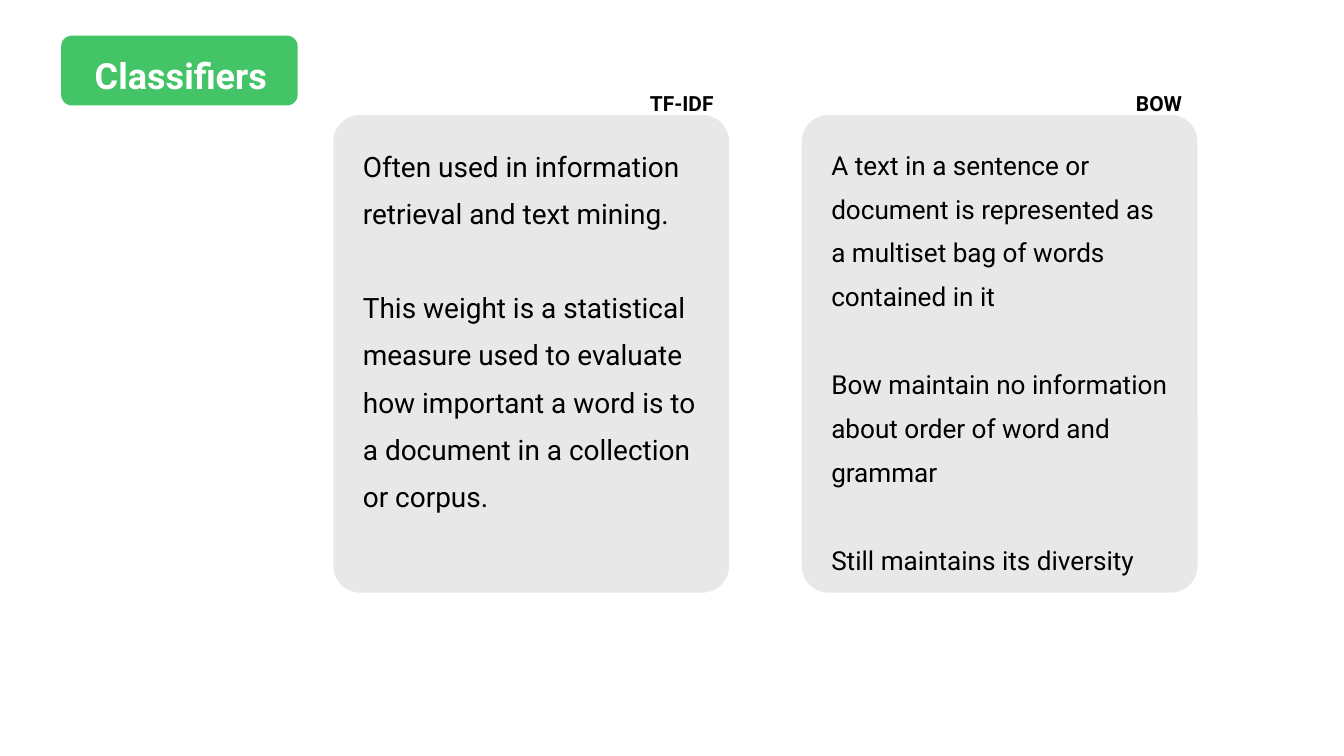
from pptx import Presentation
from pptx.dml.color import RGBColor
from pptx.enum.shapes import MSO_SHAPE
from pptx.enum.text import PP_ALIGN
from pptx.util import Inches, Pt

ROUND = MSO_SHAPE.ROUNDED_RECTANGLE
LEFT, RIGHT = PP_ALIGN.LEFT, PP_ALIGN.RIGHT
WHITE, BLACK, GREEN, GREY = "FFFFFF", "000000", "43C466", "E8E8E8"

CARDS = [
    ("TF-IDF", 2.3, 30, [
        "Often used in information retrieval and text mining.",
        "This weight is a statistical measure used to evaluate how important "
        "a word is to a document in a collection or corpus.",
    ]),
    ("BOW", 2.22, 28, [
        "A text in a sentence or document is represented as a multiset bag "
        "of words contained in it",
        "Bow maintain no information about order of word and grammar",
        "Still maintains its diversity",
    ]),
]


def color(code):
    return RGBColor.from_string(code)


def write(frame, lines, font="Roboto", size=28, ink=BLACK, bold=False,
          align=LEFT, lead=1.0, gap=0):
    frame.word_wrap = True
    frame.margin_left = frame.margin_right = 0
    frame.margin_top = frame.margin_bottom = 0
    for i, line in enumerate(lines):
        para = frame.add_paragraph() if i else frame.paragraphs[0]
        para.alignment = align
        para.line_spacing = lead
        para.space_after = Pt(gap)
        run = para.add_run()
        run.text = line
        run.font.name = font
        run.font.size = Pt(size)
        run.font.bold = bold
        run.font.color.rgb = color(ink)


class Deck:
    """Holds the text style and the current slide."""

    def __init__(self, slide, font="Roboto"):
        self.slide = slide
        self.font = font

    def panel(self, x, y, w, h, fill, curve):
        shape = self.slide.shapes.add_shape(
            ROUND, Inches(x), Inches(y), Inches(w), Inches(h))
        shape.adjustments[0] = curve / min(w, h)
        shape.shadow.inherit = False
        shape.fill.solid()
        shape.fill.fore_color.rgb = color(fill)
        shape.line.fill.background()

    def text(self, x, y, w, h, lines, **style):
        box = self.slide.shapes.add_textbox(
            Inches(x), Inches(y), Inches(w), Inches(h))
        write(box.text_frame, lines, font=self.font, **style)


def main():
    prs = Presentation()
    prs.slide_width, prs.slide_height = Inches(20), Inches(11.25)
    deck = Deck(prs.slides.add_slide(prs.slide_layouts[6]))

    deck.panel(0.91, 0.53, 3.52, 1.04, GREEN, 0.16)
    deck.text(1.41, 0.79, 2.65, 0.58, ["Classifiers"],
              size=38.6, ink=WHITE, bold=True)

    left, step = 4.96, 6.97
    for i, (name, top, size, lines) in enumerate(CARDS):
        x = left + i * step
        deck.panel(x, 1.71, 5.89, 7.11, GREY, 0.4)
        deck.text(x + 2.27, 1.2, 3.39, 0.42, [name],
                  size=22.4, bold=True, align=RIGHT, lead=1.4)
        deck.text(x + 0.44, 2.03, 5.01, 8.63 - top, lines,
                  size=size, lead=1.4, gap=size * 1.68)

    prs.save("out.pptx")


if __name__ == "__main__":
    main()
